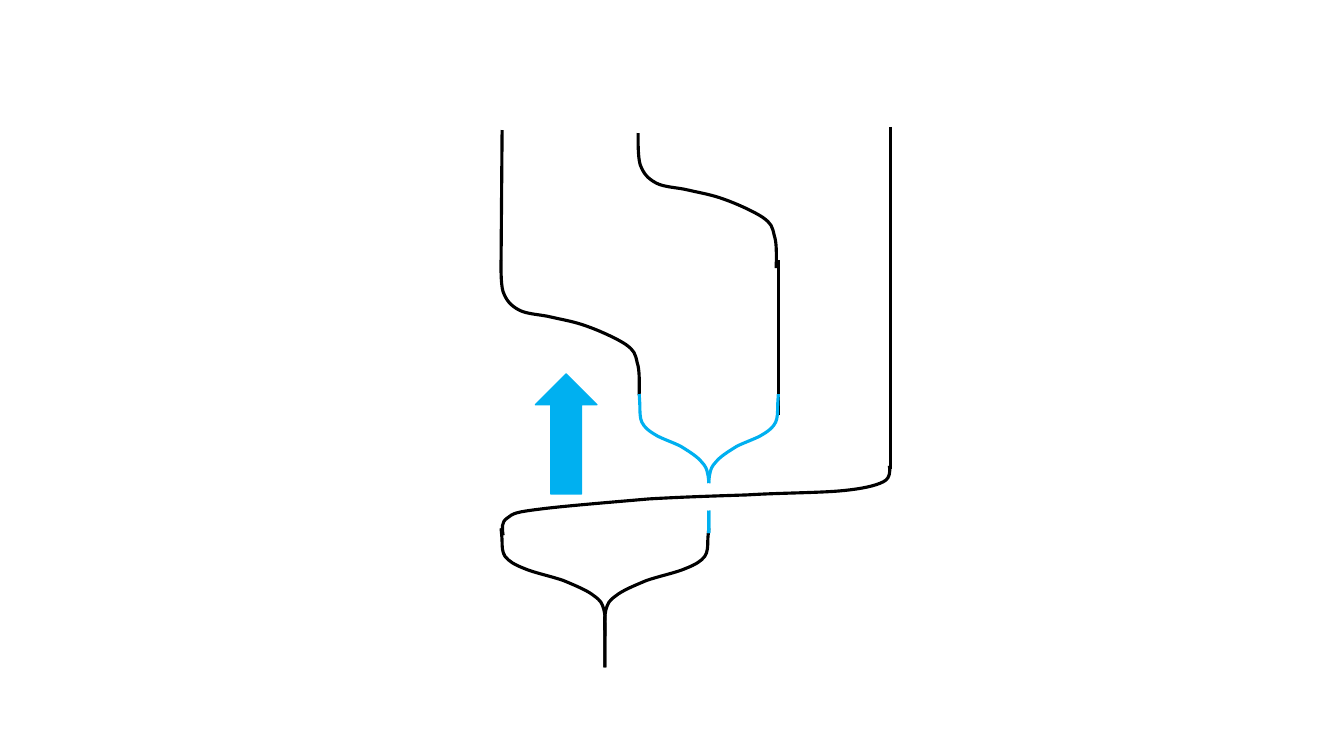
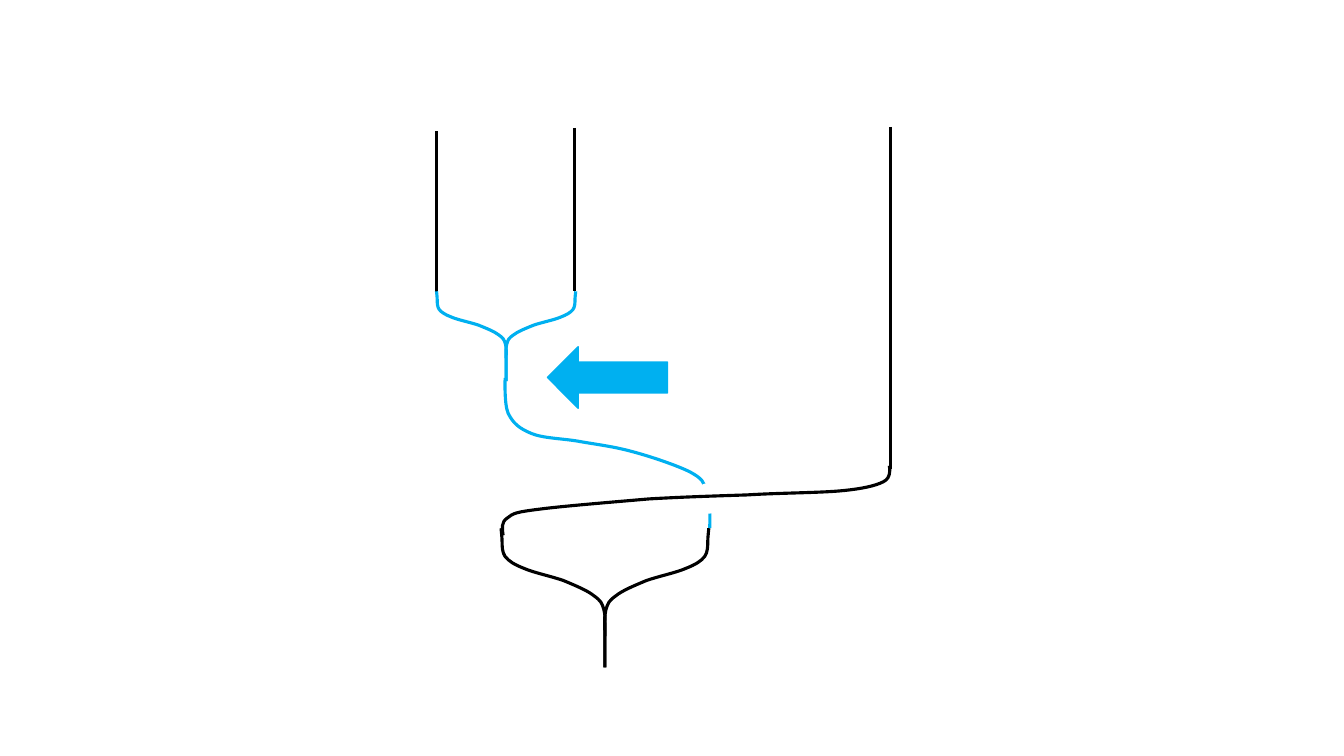
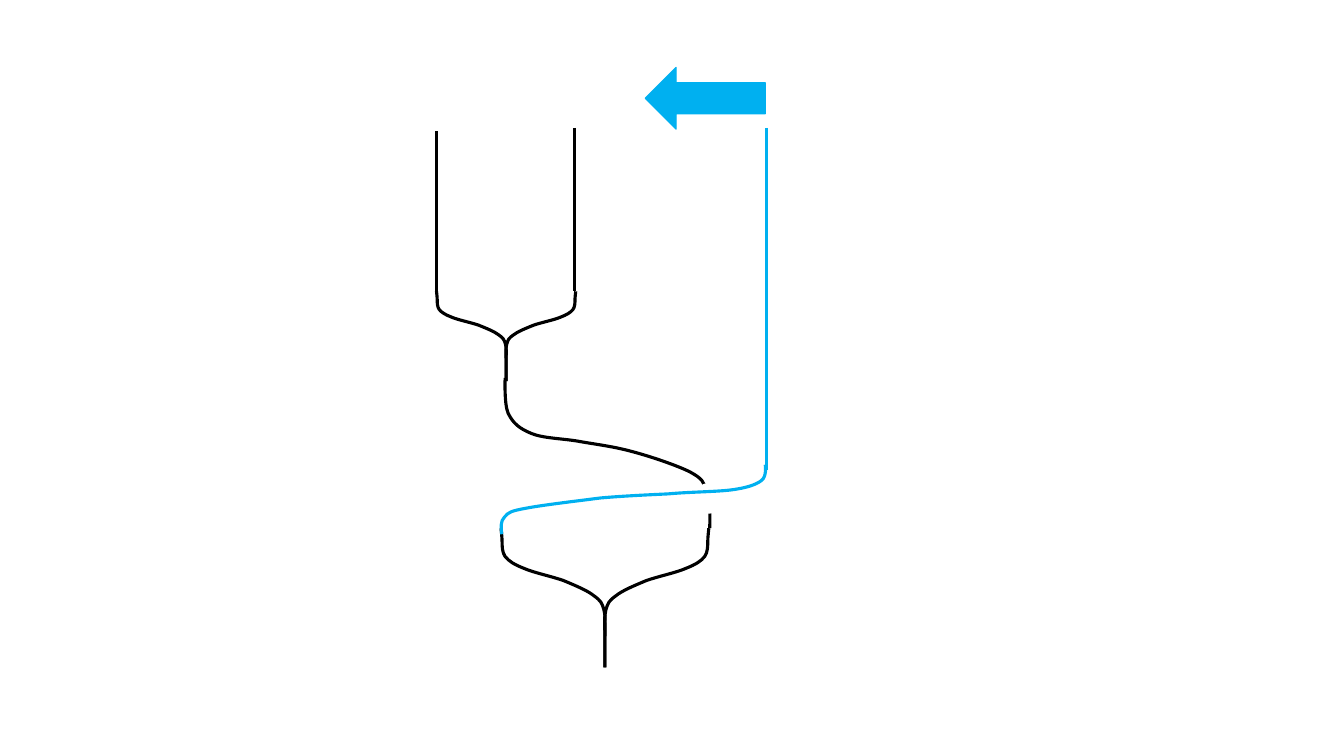
from lxml.etree import SubElement
from pptx import Presentation
from pptx.dml.color import RGBColor
from pptx.enum.shapes import MSO_CONNECTOR, MSO_SHAPE
from pptx.oxml.ns import qn
from pptx.util import Inches, Pt

COLORS = {"strand": "000000", "moved": "00B0F0", "paper": "FFFFFF"}

BEND = (2.03, 1.49, [
    (2.03, 1.49),
    (2.03, 1.35), (2.04, 1.22), (2.00, 1.13),
    (1.97, 1.03), (1.96, 1.00), (1.83, 0.93),
    (1.71, 0.87), (1.45, 0.78), (1.26, 0.73),
    (1.08, 0.68), (0.91, 0.66), (0.74, 0.63),
    (0.58, 0.60), (0.38, 0.60), (0.26, 0.55),
    (0.14, 0.50), (0.08, 0.45), (0.03, 0.35),
    (-0.01, 0.26), (0, 0.01), (0, 0),
])
ARM = (1.03, 1.38, [
    (0, 0),
    (0, 0.01), (0.01, 0.09), (0.01, 0.13),
    (0.01, 0.17), (0.01, 0.24), (0.04, 0.28),
    (0.08, 0.33), (0.13, 0.36), (0.23, 0.40),
    (0.32, 0.44), (0.51, 0.48), (0.62, 0.52),
    (0.74, 0.57), (0.86, 0.62), (0.92, 0.67),
    (0.99, 0.72), (1.00, 0.74), (1.02, 0.81),
    (1.04, 0.88), (1.03, 0.95), (1.03, 1.09),
    (1.03, 1.24), (1.03, 1.38), (1.03, 1.38),
])
CROSSING = (3.84, 0.69, [
    (0.01, 0.69),
    (0, 0.62), (-0.01, 0.56), (0.05, 0.52),
    (0.11, 0.47), (0.14, 0.46), (0.38, 0.43),
    (0.61, 0.40), (1.11, 0.36), (1.45, 0.33),
    (1.79, 0.31), (2.12, 0.30), (2.43, 0.29),
    (2.75, 0.27), (3.12, 0.27), (3.35, 0.25),
    (3.57, 0.23), (3.70, 0.20), (3.78, 0.16),
    (3.87, 0.12), (3.84, 0), (3.84, 0),
])


class StrandDeck:
    """Draws strand diagrams on the current slide in one shared style."""

    def __init__(self):
        self.deck = Presentation()
        size = {"slide_width": Inches(13.33), "slide_height": Inches(7.5)}
        for name, value in size.items():
            setattr(self.deck, name, value)

    def new_page(self):
        """Start an empty slide."""
        self.page = self.deck.slides.add_slide(self.deck.slide_layouts[6])

    def outline(self, item, color, width=2.25):
        """Set the line colour and width of an item."""
        item.line.color.rgb = RGBColor.from_string(COLORS[color])
        item.line.width = Pt(width)

    def curve(self, form, left, top, width, height, color="strand"):
        """Draw a form scaled to a box; a negative width mirrors it."""
        form_width, form_height, points = form
        start, *rest = [(Inches(left + x * width / form_width),
                         Inches(top + y * height / form_height)) for x, y in points]
        builder = self.page.shapes.build_freeform(*start)
        builder.add_line_segments(rest, close=False)
        strand = builder.convert_to_shape()
        strand.shadow.inherit = False
        strand.fill.background()
        self.outline(strand, color)
        outline_path = strand._element.xpath(".//a:path")[0]
        segments = outline_path.findall(qn("a:lnTo"))
        for first in range(0, len(segments), 3):
            bezier = SubElement(outline_path, qn("a:cubicBezTo"))
            for segment in segments[first:first + 3]:
                bezier.append(segment[0])
                outline_path.remove(segment)

    def fork(self, left, top, width, height, color="strand"):
        """Join two mirrored arms at the bottom."""
        self.curve(ARM, left, top, width, height, color)
        self.curve(ARM, left + 2 * width, top, -width, height, color)

    def line(self, start, end, color="strand"):
        """Draw a straight strand."""
        ends = [Inches(value) for value in (*start, *end)]
        strand = self.page.shapes.add_connector(MSO_CONNECTOR.STRAIGHT, *ends)
        self.outline(strand, color)
        SubElement(strand._element.spPr, qn("a:effectLst"))

    def shape(self, kind, left, top, width, height, color, border, rotation=0):
        """Draw a filled preset shape."""
        box = [Inches(value) for value in (left, top, width, height)]
        item = self.page.shapes.add_shape(kind, *box)
        item.rotation = rotation
        item.shadow.inherit = False
        item.fill.solid()
        item.fill.fore_color.rgb = RGBColor.from_string(COLORS[color])
        self.outline(item, color, border)

    def gap(self, left, top):
        """Interrupt the strand that passes below a crossing."""
        self.shape(MSO_SHAPE.OVAL, left, top, 0.25, 0.24, "paper", 2.25)

    def arrow(self, left, top, rotation=0):
        """Show the direction of a move."""
        self.shape(MSO_SHAPE.LEFT_ARROW, left, top, 1.19, 0.61, "moved", 1, rotation)

    def lower_fork(self):
        """Draw the fork at the foot of every diagram."""
        self.fork(4.97, 5.24, 1.03, 1.38)

    def over_strand(self, left, top, width, right, start, color="strand"):
        """Draw a strand that descends and crosses over to the left."""
        self.curve(CROSSING, left, top, width, 0.69, color)
        self.line((right, start), (right, start + 3.39), color)

    def raised_fork(self, color):
        """Draw the diagram part with the upper fork above the crossing."""
        self.curve(BEND, 5.01, 3.75, 2.03, 1.49, color)
        self.lower_fork()
        self.line((4.33, 1.3), (4.33, 2.91))
        self.fork(4.33, 2.89, 0.69, 0.89, color)
        self.line((5.7, 1.27), (5.7, 2.89))
        self.gap(6.9, 4.81)
        self.gap(6.91, 4.84)


diagram = StrandDeck()

diagram.new_page()
for bend_left, bend_top in [(4.97, 2.58), (6.33, 1.32)]:
    diagram.curve(BEND, bend_left, bend_top, 1.37, 1.34)
diagram.line((4.98, 1.29), (4.97, 2.58))
diagram.line((7.72, 2.58), (7.72, 4.12))
diagram.lower_fork()
diagram.fork(6.34, 3.91, 0.69, 1.38, "moved")
diagram.gap(6.9, 4.81)
diagram.over_strand(4.98, 4.62, 3.84, 8.83, 1.26)
diagram.arrow(5.02, 4, 90)

diagram.new_page()
diagram.raised_fork("moved")
diagram.over_strand(4.98, 4.62, 3.84, 8.83, 1.26)
diagram.arrow(5.43, 3.44)

diagram.new_page()
diagram.raised_fork("strand")
diagram.over_strand(4.97, 4.61, 2.62, 7.6, 1.27, "moved")
diagram.arrow(6.4, 0.67)

diagram.deck.save("out.pptx")
